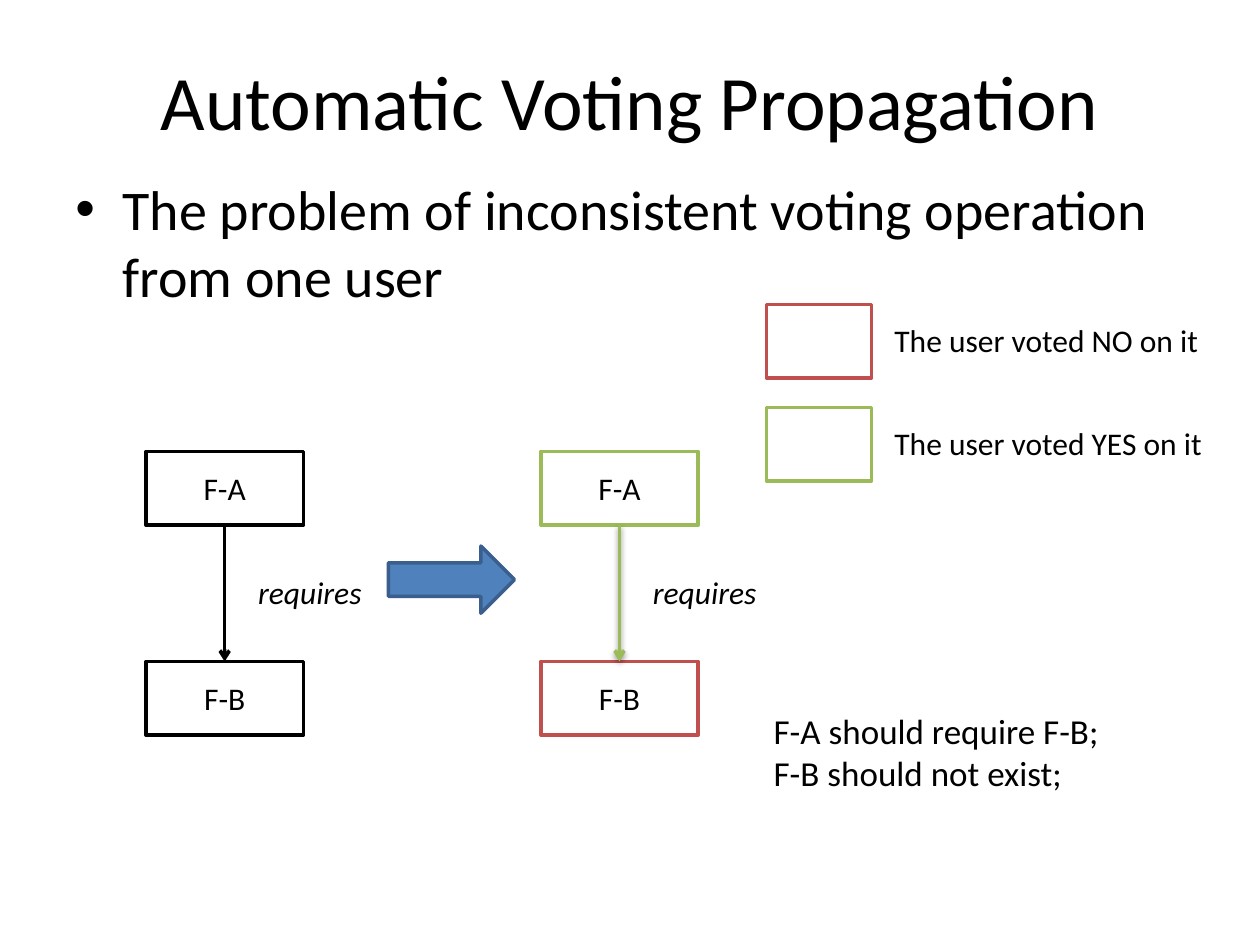
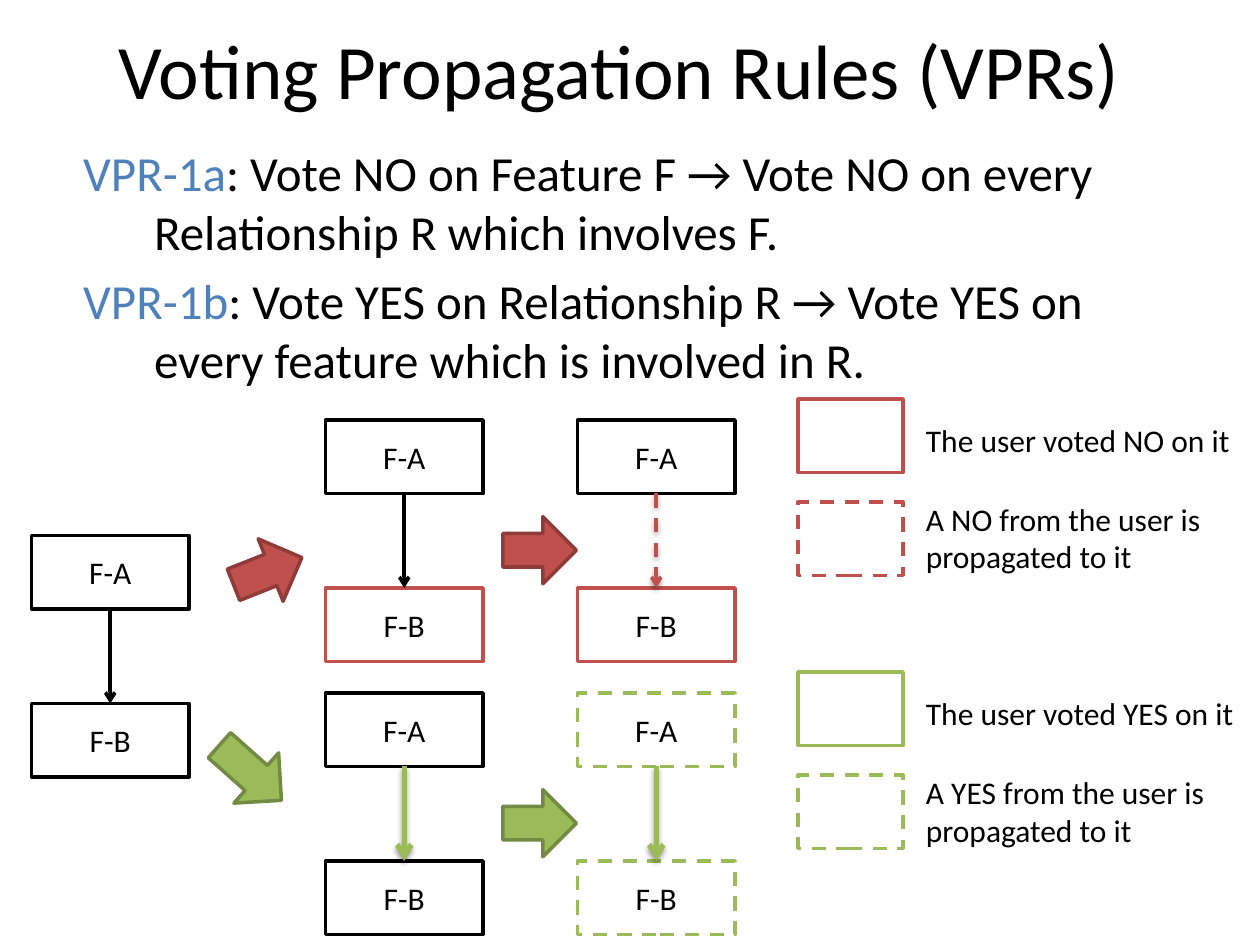
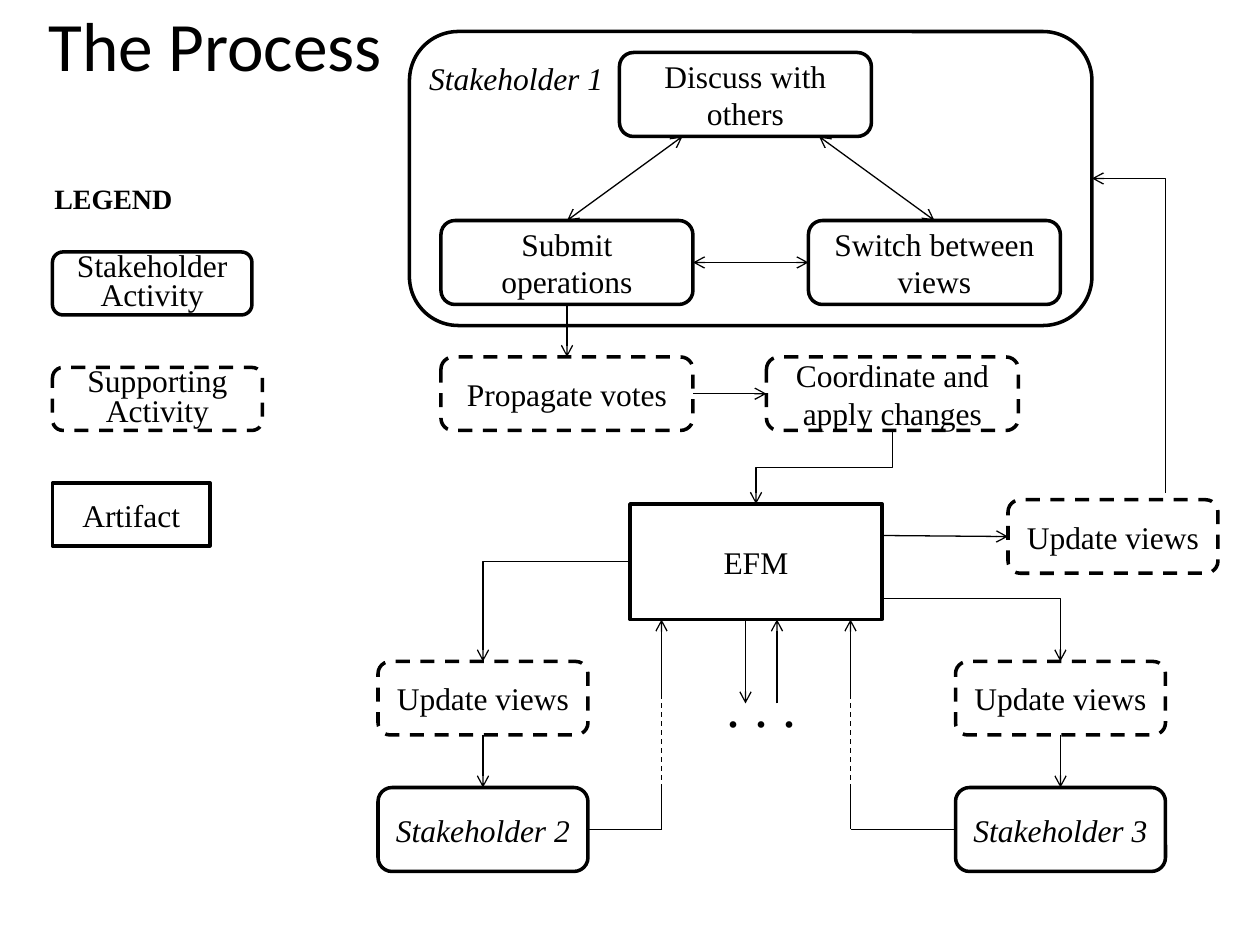
from lxml import etree
from pptx import Presentation
from pptx.dml.color import RGBColor
from pptx.enum.dml import MSO_LINE
from pptx.enum.shapes import MSO_CONNECTOR, MSO_SHAPE
from pptx.enum.text import MSO_ANCHOR, PP_ALIGN
from pptx.oxml.ns import qn
from pptx.util import Cm, Pt

RECT, ROUNDED = MSO_SHAPE.RECTANGLE, MSO_SHAPE.ROUNDED_RECTANGLE
BLOCK_ARROW = MSO_SHAPE.RIGHT_ARROW
STRAIGHT, ELBOW = MSO_CONNECTOR.STRAIGHT, MSO_CONNECTOR.ELBOW
DASH = MSO_LINE.DASH
LEFT, CENTER = PP_ALIGN.LEFT, PP_ALIGN.CENTER
TOP_ANCHOR, MIDDLE = MSO_ANCHOR.TOP, MSO_ANCHOR.MIDDLE
TOP, LEFT_SIDE, BOTTOM, RIGHT_SIDE = range(4)

BLACK, WHITE = "000000", "FFFFFF"
RED, GREEN, BLUE = "C0504D", "9BBB59", "4F81BD"
EDGES = {RED: "8E3B39", GREEN: "738A42", BLUE: "3A5F8C"}
SANS, SERIF = "Calibri", "Times New Roman"

# All positions count cells of a grid, 120 across and 90 down.
CELL = 2.54 / 12
FEATURE_W, FEATURE_H = 15, 7

# Slide 1
PROBLEM = "The problem of inconsistent voting operation from one user"
CONCLUSION = ["F-A should require F-B;", "F-B should not exist;"]
# left, top, step, F-A look, F-B look, arrow look; a look is (colour, dashed)
PLAIN, NO, YES = (BLACK, False), (RED, False), (GREEN, False)
NO_SPREAD, YES_SPREAD = (RED, True), (GREEN, True)
VOTE_PAIRS = [
    (51.5, 43, 20, YES, NO, YES),
    (13.9, 43, 20, PLAIN, PLAIN, PLAIN),
]
# left, top, look, text, text top, text height
VOTE_LEGEND = [
    (73, 29, NO, "The user voted NO on it", 30, 4.8),
    (73, 38.8, YES, "The user voted YES on it", 39.8, 4.8),
]
VOTE_ARROWS = [(37, 52, 12, 0, BLUE)]  # left, top, width, rotation, colour

# Slide 2
RULES = [
    [("VPR-1a", BLUE), (": Vote NO on Feature F → Vote NO on every "
                        "Relationship R which involves F.", BLACK)],
    [("VPR-1b", BLUE), (": Vote YES on Relationship R → Vote YES on every "
                        "feature which is involved in R.", BLACK)],
]
RULE_PAIRS = [
    (31, 40, 16, PLAIN, NO, PLAIN),
    (3, 51, 16, PLAIN, PLAIN, PLAIN),
    (55, 40, 16, PLAIN, NO, NO_SPREAD),
    (31, 66, 16, PLAIN, PLAIN, YES),
    (55, 66, 16, YES_SPREAD, YES_SPREAD, YES),
]
RULE_LEGEND = [
    (76, 38, NO, "The user voted NO on it", 39.5, 4.8),
    (76, 47.8, NO_SPREAD, "A NO from the user is propagated to it", 47, 8.5),
    (76, 64, YES, "The user voted YES on it", 65.5, 4.8),
    (76, 73.8, YES_SPREAD, "A YES from the user is propagated to it", 73, 8.5),
]
RULE_ARROWS = [
    (22, 51.2, 7, 338.3, RED),
    (47.9, 49.2, 7, 0, RED),
    (47.9, 75.2, 7, 0, GREEN),
    (19.9, 70.4, 7.9, 41.6, GREEN),
]

# Slide 3: key, text, place, kind
PROCESS = [
    ("discuss", "Discuss with others", (59, 5, 24, 8), "activity"),
    ("switch", "Switch between views", (77, 21, 24, 8), "activity"),
    ("submit", "Submit operations", (42, 21, 24, 8), "activity"),
    ("stakeholder 1", "", (39, 3, 65, 28), "frame"),
    ("propagate", "Propagate votes", (42, 34, 24, 7), "support"),
    ("coordinate", "Coordinate and apply changes", (73, 34, 24, 7), "support"),
    ("EFM", "EFM", (60, 48, 24, 11), "artifact"),
    ("update 1", "Update views", (96, 47.6, 20, 7), "support"),
    ("update 2", "Update views", (36, 63, 20, 7), "support"),
    ("update 3", "Update views", (91, 63, 20, 7), "support"),
    ("stakeholder 2", "Stakeholder 2", (36, 75, 20, 8), "person"),
    ("stakeholder 3", "Stakeholder 3", (91, 75, 20, 8), "person"),
]
PROCESS_LEGEND = [
    ("Stakeholder Activity", (5, 24, 19, 6), "activity", 17),
    ("Supporting Activity", (5, 35, 20, 6), "support", 17),
    ("Artifact", (5, 46, 15, 6), "artifact", None),
]
KINDS = {
    "activity": dict(form=ROUNDED),
    "person": dict(form=ROUNDED, italic=True),
    "frame": dict(form=ROUNDED, fill=None),
    "support": dict(form=ROUNDED, dashed=True),
    "artifact": dict(form=RECT),
}
# begin, end, extra format; an end is a point or (key, side)
FLOWS = [
    (("switch", TOP), (78, 13), dict(head=True)),
    ((65, 13), ("submit", TOP), dict(head=True)),
    (("switch", LEFT_SIDE), ("submit", RIGHT_SIDE), dict(head=True)),
    (("submit", BOTTOM), ("propagate", TOP), {}),
    (("propagate", RIGHT_SIDE), ("coordinate", LEFT_SIDE), {}),
    (("coordinate", BOTTOM), ("EFM", TOP), dict(bend="vertical")),
    ((84, 51), ("update 1", LEFT_SIDE), {}),
    (("stakeholder 1", RIGHT_SIDE), (111, 47),
     dict(bend="corner", head=True, tail=False)),
    (("EFM", LEFT_SIDE), ("update 2", TOP), dict(bend="corner")),
    ((84, 57), ("update 3", TOP), dict(bend="corner")),
    (("update 2", BOTTOM), ("stakeholder 2", TOP), {}),
    (("update 3", BOTTOM), ("stakeholder 3", TOP), {}),
    ((71, 59), (71, 67), {}),
    ((74, 67), (74, 59), {}),
]
# stakeholder, side it leaves from, column where it climbs to the EFM
RETURNS = [("stakeholder 2", RIGHT_SIDE, 63), ("stakeholder 3", LEFT_SIDE, 81)]


def grid(cells):
    return Cm(cells * CELL)


def rgb(colour):
    return RGBColor.from_string(colour)


def write(shape, text, size=18, font=SANS, colour=BLACK, bold=False,
          italic=False, align=LEFT, anchor=TOP_ANCHOR, wrap=True, before=0,
          spacing=None, margin=0, indent=0, bullet=None):
    """Fill a shape; text is a string or a list of strings or (text, colour) runs."""
    frame = shape.text_frame
    frame.word_wrap, frame.vertical_anchor = wrap, anchor
    for index, content in enumerate([text] if isinstance(text, str) else text):
        paragraph = frame.add_paragraph() if index else frame.paragraphs[0]
        paragraph.alignment = align
        if index and before:
            paragraph.space_before = Pt(before)
        if spacing:
            paragraph.line_spacing = Pt(spacing)
        if margin:
            properties = paragraph._p.get_or_add_pPr()
            properties.set("marL", str(grid(margin)))
            properties.set("indent", str(grid(indent)))
            if bullet:
                etree.SubElement(properties, qn("a:buFont")).set("typeface", "Arial")
                etree.SubElement(properties, qn("a:buChar")).set("char", bullet)
        runs = [(content, colour)] if isinstance(content, str) else content
        for words, run_colour in runs:
            run = paragraph.add_run()
            run.text = words
            run.font.size, run.font.name = Pt(size), font
            run.font.bold, run.font.italic = bold, italic
            run.font.color.rgb = rgb(run_colour)


def add_text(slide, place, text, **style):
    write(slide.shapes.add_textbox(*map(grid, place)), text, **style)


def add_title(slide, place, text, size=44):
    add_text(slide, place, text, size=size, align=CENTER, anchor=MIDDLE)


def add_box(slide, place, text="", form=RECT, fill=WHITE, edge=BLACK,
            dashed=False, **style):
    box = slide.shapes.add_shape(form, *map(grid, place))
    box.shadow.inherit = False
    if fill:
        box.fill.solid()
        box.fill.fore_color.rgb = rgb(fill)
    else:
        box.fill.background()
    box.line.color.rgb, box.line.width = rgb(edge), Pt(2)
    if dashed:
        box.line.dash_style = DASH
    if text:
        write(box, text, align=CENTER, anchor=MIDDLE, **style)
    return box


def add_shadow(effects):
    shadow = etree.SubElement(effects, qn("a:outerShdw"), blurRad="40000",
                              dist="20000", dir="5400000", rotWithShape="0")
    tint = etree.SubElement(shadow, qn("a:srgbClr"), val=BLACK)
    etree.SubElement(tint, qn("a:alpha"), val="38000")


def turn_vertical(connector):
    """Make an elbow running down and to the left start downwards."""
    left, top = connector.left, connector.top
    across, down = connector.width, connector.height
    connector.left, connector.top = left + (across - down) // 2, top + (down - across) // 2
    connector.width, connector.height = down, across
    frame = connector._element.spPr.find(qn("a:xfrm"))
    frame.attrib.pop("flipH", None)
    frame.set("rot", "5400000")


def connect(slide, begin, end, colour=BLACK, width=0.75, dashed=False,
            head=False, tail=True, bend=None, shadow=False):
    """Join two ends, each a grid point or (shape, side)."""
    connector = slide.shapes.add_connector(ELBOW if bend else STRAIGHT, 0, 0, 0, 0)
    if isinstance(begin[0], (int, float)):
        connector.begin_x, connector.begin_y = map(grid, begin)
    else:
        connector.begin_connect(*begin)
    if isinstance(end[0], (int, float)):
        connector.end_x, connector.end_y = map(grid, end)
    else:
        connector.end_connect(*end)
    connector.line.color.rgb, connector.line.width = rgb(colour), Pt(width)
    if dashed:
        connector.line.dash_style = DASH
    properties = connector._element.spPr
    if bend == "corner":
        properties.find(qn("a:prstGeom")).set("prst", "bentConnector2")
    elif bend == "vertical":
        turn_vertical(connector)
    for tag, wanted in (("a:headEnd", head), ("a:tailEnd", tail)):
        if wanted:
            etree.SubElement(properties.find(qn("a:ln")), qn(tag), type="arrow")
    effects = etree.SubElement(properties, qn("a:effectLst"))
    if shadow:
        add_shadow(effects)


def add_pairs(slide, pairs, yes_width):
    for left, top, step, *looks, (colour, dashed) in pairs:
        upper, lower = [
            add_box(slide, (left, top + row * step, FEATURE_W, FEATURE_H), name,
                    edge=edge, dashed=broken)
            for row, (name, (edge, broken)) in enumerate(zip(("F-A", "F-B"), looks))]
        connect(slide, (upper, BOTTOM), (lower, TOP), colour=colour, dashed=dashed,
                width=yes_width if colour == GREEN else 2, shadow=colour != BLACK)


def add_vote_legend(slide, legend):
    for left, top, (colour, dashed), text, text_top, height in legend:
        add_box(slide, (left, top, 10, 7), edge=colour, dashed=dashed)
        add_text(slide, (left + 11, text_top, 33, height), text)


def add_block_arrows(slide, arrows):
    for left, top, width, rotation, colour in arrows:
        arrow = add_box(slide, (left, top, width, 6.4), form=BLOCK_ARROW,
                        fill=colour, edge=EDGES[colour])
        arrow.rotation = rotation


def build_problem(slide):
    add_title(slide, (6, 2, 108, 15), "Automatic Voting Propagation")
    add_text(slide, (6, 16, 108, 64.4), [PROBLEM], size=32, margin=4.5,
             indent=-4.5, bullet="•")
    add_pairs(slide, VOTE_PAIRS, yes_width=2)
    for left, top, *_ in VOTE_PAIRS:
        add_text(slide, (left + 9.5, top + 11, 12.6, 4.8), "requires",
                 italic=True, wrap=False)
    add_vote_legend(slide, VOTE_LEGEND)
    add_text(slide, (72.5, 67, 33.7, 9.2), CONCLUSION, size=20, wrap=False)
    add_block_arrows(slide, VOTE_ARROWS)


def build_rules(slide):
    add_title(slide, (5, -1, 108, 15), "Voting Propagation Rules (VPRs)")
    add_text(slide, (6, 13, 108, 67.4), RULES, size=28, before=5.6, margin=7.5,
             indent=-6.75)
    add_pairs(slide, RULE_PAIRS, yes_width=3)
    add_vote_legend(slide, RULE_LEGEND)
    add_block_arrows(slide, RULE_ARROWS)


def build_process(slide):
    add_title(slide, (3, 0, 35, 8.4), "The Process", size=39.6)
    nodes = {key: add_box(slide, place, text, font=SERIF, **KINDS[kind])
             for key, text, place, kind in PROCESS}
    add_text(slide, (39.7, 5, 19.3, 4.8), "Stakeholder 1", font=SERIF,
             italic=True, wrap=False)
    add_text(slide, (68, 63.4, 9.1, 7.7), ". . .", size=32, font=SERIF, wrap=False)
    add_text(slide, (4, 16.7, 13.8, 4.4), "LEGEND", size=16, font=SERIF,
             bold=True, wrap=False)
    for text, place, kind, spacing in PROCESS_LEGEND:
        add_box(slide, place, text, font=SERIF, spacing=spacing, **KINDS[kind])
    for begin, end, style in FLOWS:
        ends = [(nodes.get(first, first), second) for first, second in (begin, end)]
        connect(slide, *ends, **style)
    for key, side, column in RETURNS:
        connect(slide, (nodes[key], side), (column, 79), tail=False)
        connect(slide, (column, 79), (column, 75), tail=False)
        connect(slide, (column, 76), (column, 65), dashed=True, tail=False)
        connect(slide, (column, 66), (column, 59))


def main():
    deck = Presentation()
    deck.slide_width, deck.slide_height = grid(120), grid(90)
    for build in (build_problem, build_rules, build_process):
        build(deck.slides.add_slide(deck.slide_layouts[6]))
    deck.save("out.pptx")


if __name__ == "__main__":
    main()
